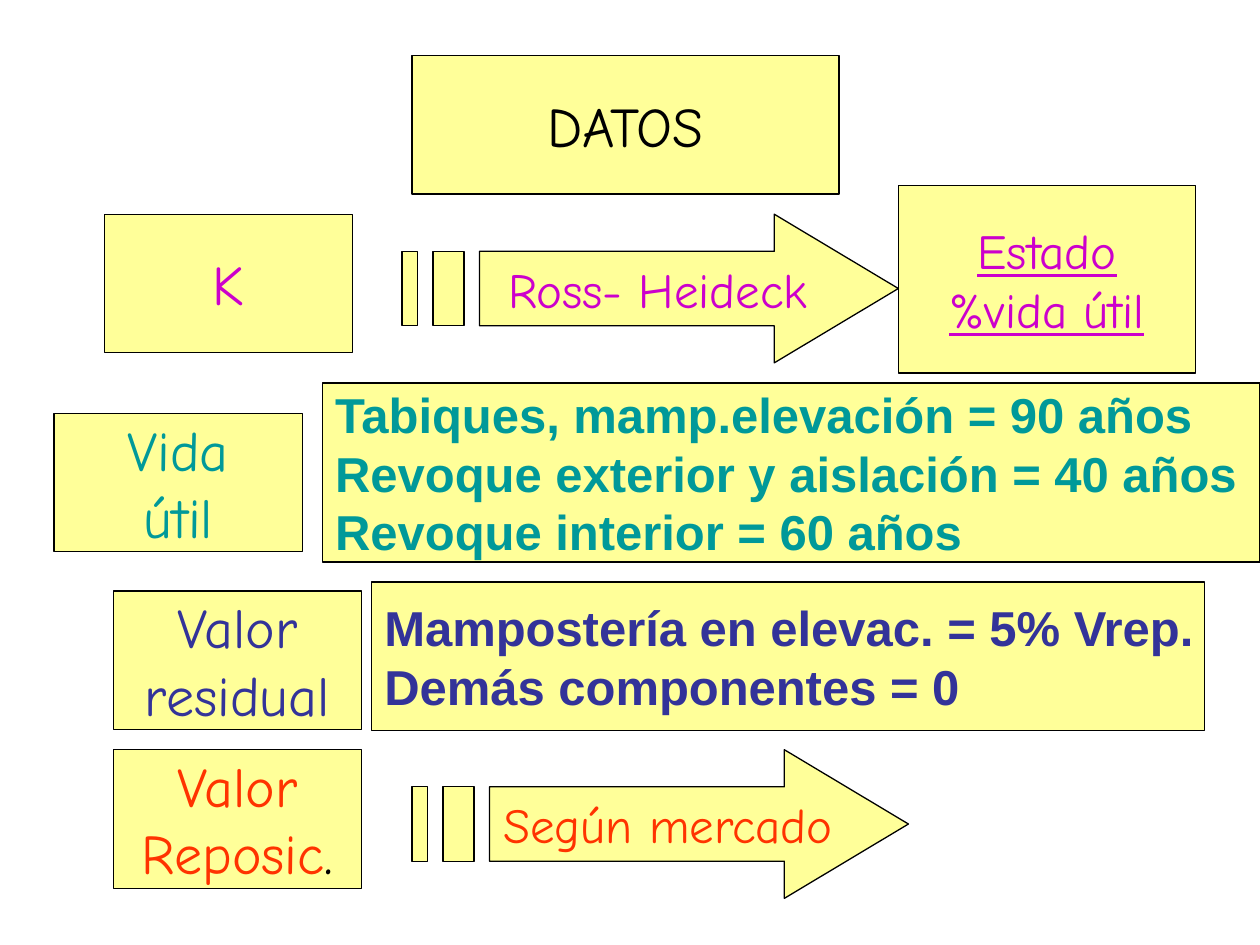
from dataclasses import dataclass

from lxml import etree
from pptx import Presentation
from pptx.dml.color import RGBColor
from pptx.enum.shapes import MSO_SHAPE
from pptx.enum.text import MSO_ANCHOR, MSO_AUTO_SIZE, PP_ALIGN
from pptx.oxml.ns import qn
from pptx.util import Inches, Pt

RECTANGLE = MSO_SHAPE.RECTANGLE
MIDDLE = MSO_ANCHOR.MIDDLE
NO_AUTOFIT = MSO_AUTO_SIZE.NONE
LEFT, CENTER = PP_ALIGN.LEFT, PP_ALIGN.CENTER
TWO_CONTENT_LAYOUT = 3


@dataclass(frozen=True)
class Theme:
    fill: RGBColor = RGBColor(0xFF, 0xFF, 0x99)
    black: RGBColor = RGBColor(0, 0, 0)
    magenta: RGBColor = RGBColor(0xCC, 0x00, 0xCC)
    teal: RGBColor = RGBColor(0x00, 0x99, 0x99)
    indigo: RGBColor = RGBColor(0x33, 0x33, 0x99)
    orange: RGBColor = RGBColor(0xFF, 0x33, 0x00)
    label_font: str = "Comic Neue"
    list_font: str = "Arial"
    label_size: Pt = Pt(32)
    detail_size: Pt = Pt(28)
    line_width: Pt = Pt(0.75)


THEME = Theme()


def paint(shape):
    shape.fill.solid()
    shape.fill.fore_color.rgb = THEME.fill
    shape.line.color.rgb = THEME.black
    shape.line.width = THEME.line_width


def write(shape, text, color, size, font_name=THEME.label_font,
          align=CENTER, bold=False, underline=False):
    frame = shape.text_frame
    frame.text = text
    frame.word_wrap = False
    frame.auto_size = NO_AUTOFIT
    frame.vertical_anchor = MIDDLE
    for paragraph in frame.paragraphs:
        paragraph.alignment = align
        paragraph.line_spacing = 1.0
        paragraph.space_before = Pt(0)
        for run in paragraph.runs:
            font = run.font
            font.name, font.size = font_name, size
            font.bold, font.underline = bold, underline
            font.color.rgb = color


def place(shape, box):
    shape.left, shape.top, shape.width, shape.height = map(Inches, box)


def fill_title(slide, box, text):
    title = slide.shapes.title
    place(title, box)
    paint(title)
    write(title, text, THEME.black, THEME.label_size)


def add_label(slide, box, text, color, size=THEME.label_size, underline=False):
    label = slide.shapes.add_shape(RECTANGLE, *map(Inches, box))
    label.shadow.inherit = False
    paint(label)
    write(label, text, color, size, underline=underline)
    return label


def fill_list(placeholder, box, lines, color):
    """Turn a body placeholder into a framed list without bullets."""
    place(placeholder, box)
    paint(placeholder)
    write(placeholder, "\n".join(lines), color, THEME.detail_size,
          THEME.list_font, LEFT, bold=True)
    # The longest line nearly fills its frame, so the right margin is slim.
    placeholder.text_frame.margin_right = Inches(0.02)
    for paragraph in placeholder.text_frame.paragraphs:
        properties = paragraph._p.get_or_add_pPr()
        properties.set("marL", "0")
        properties.set("indent", "0")
        etree.SubElement(properties, qn("a:buNone"))


def add_striped_arrow(slide, box, text, color):
    """Draw an arrow with two tail stripes, in fractions of its box."""
    left, top, width, height = box

    def bar(start, end):
        return [(start, 1 / 4), (start, 3 / 4), (end, 3 / 4), (end, 1 / 4)]

    body_start, head_start = 5 / 32, 3 / 4
    arrow_outline = [(head_start, 0), (head_start, 1 / 4),
                     (body_start, 1 / 4), (body_start, 3 / 4),
                     (head_start, 3 / 4), (head_start, 1), (1, 1 / 2)]
    outlines = [
        [(Inches(left + x * width), Inches(top + y * height)) for x, y in outline]
        for outline in (arrow_outline, bar(1 / 16, 1 / 8), bar(0, 1 / 32))
    ]
    builder = slide.shapes.build_freeform(*outlines[0][0])
    for index, (first, *others) in enumerate(outlines):
        if index:
            builder.move_to(*first)
        builder.add_line_segments(others, close=True)
    arrow = builder.convert_to_shape()
    arrow.shadow.inherit = False
    paint(arrow)
    write(arrow, text, color, THEME.detail_size)
    arrow.text_frame.margin_left = Inches(0.1 + width * body_start)
    arrow.text_frame.margin_right = Inches(0.1 + width / 8)


def add_replacement_label(slide, box):
    label = add_label(slide, box, "Valor\nReposic", THEME.orange)
    period = label.text_frame.paragraphs[-1].add_run()
    period.text = "."
    period.font.name, period.font.size = THEME.label_font, THEME.label_size
    period.font.color.rgb = THEME.black


def build_data_slide(presentation):
    layout = presentation.slide_layouts[TWO_CONTENT_LAYOUT]
    slide = presentation.slides.add_slide(layout)
    life_list, residual_list = [
        shape for shape in slide.placeholders if shape != slide.shapes.title
    ]
    label_width, label_height = 1.97, 1.1
    arrow_width, arrow_height = 3.94, 1.18

    fill_title(slide, (3.27, 0.44, 3.39, label_height), "DATOS")

    add_label(slide, (0.83, 1.7, label_width, label_height), "K", THEME.magenta)
    add_striped_arrow(slide, (3.19, 1.7, arrow_width, arrow_height),
                      "Ross- Heideck", THEME.magenta)
    add_label(slide, (7.13, 1.47, 2.36, 1.49), "Estado\n%vida útil",
              THEME.magenta, THEME.detail_size, underline=True)

    add_label(slide, (0.43, 3.28, label_width, label_height),
              "Vida\nútil", THEME.teal)
    fill_list(life_list, (2.56, 3.04, 7.44, 1.42),
              ["Tabiques, mamp.elevación = 90 años",
               "Revoque exterior y aislación = 40 años",
               "Revoque interior = 60 años"], THEME.teal)

    add_label(slide, (0.9, 4.69, label_width, label_height),
              "Valor\nresidual", THEME.indigo)
    fill_list(residual_list, (2.95, 4.62, 6.61, 1.18),
              ["Mampostería en elevac. = 5% Vrep.",
               "Demás componentes = 0"], THEME.indigo)

    add_replacement_label(slide, (0.9, 5.95, label_width, label_height))
    add_striped_arrow(slide, (3.27, 5.95, arrow_width, arrow_height),
                      "Según mercado", THEME.orange)


def main():
    presentation = Presentation()
    presentation.slide_width = Inches(10)
    presentation.slide_height = Inches(7.5)
    build_data_slide(presentation)
    presentation.save("out.pptx")


if __name__ == "__main__":
    main()
